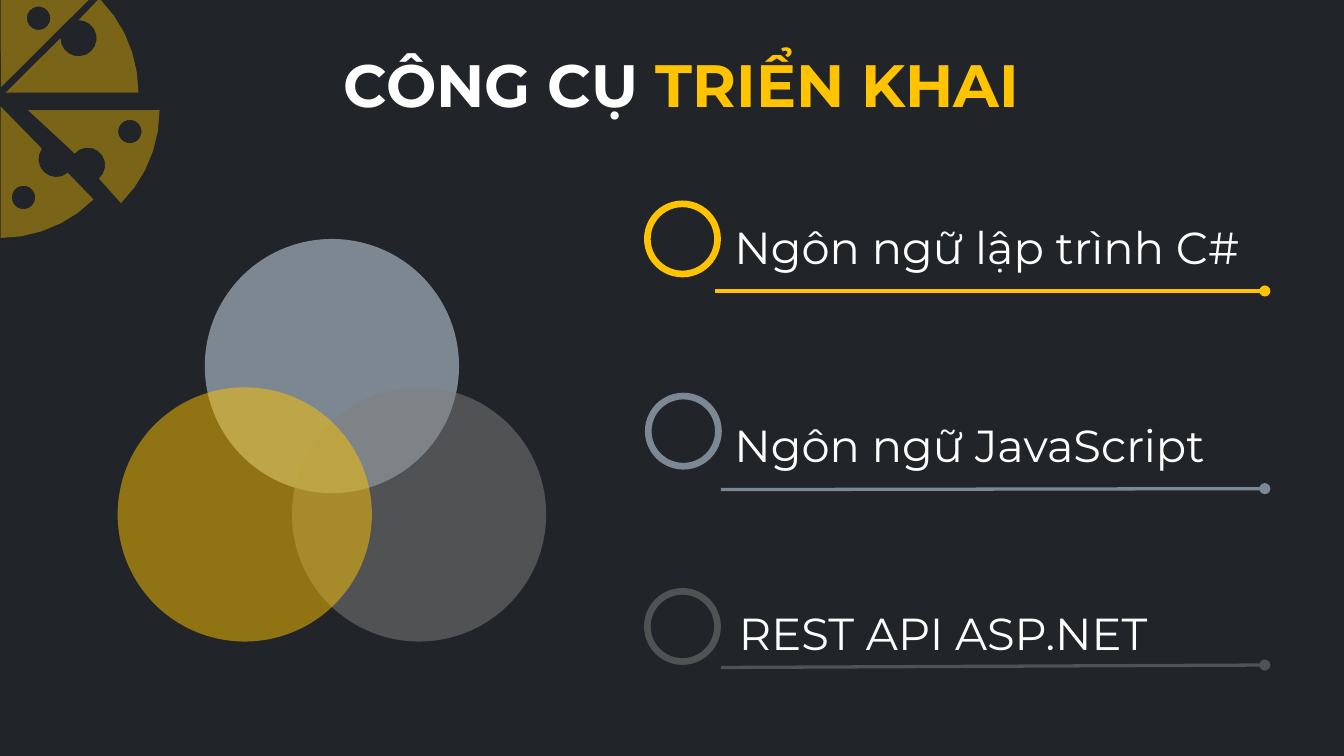
from math import cos, radians, sin

from pptx import Presentation
from pptx.dml.color import RGBColor
from pptx.enum.shapes import MSO_CONNECTOR as Connector, MSO_SHAPE as Shape
from pptx.enum.text import MSO_ANCHOR as Anchor, PP_ALIGN as Align
from pptx.oxml.ns import qn
from pptx.oxml.xmlchemy import OxmlElement
from pptx.util import Pt

GOLD, WHITE, STEEL, GRAPHITE = "FFC300", "FFFFFF", "7C8893", "505254"


def color(hex_code):
    return RGBColor.from_string(hex_code)


def arc(x, y, radius, start, end):
    steps = round(abs(end - start) / (9 if radius > 20 else 20))
    angles = [radians(start + (end - start) * i / steps) for i in range(steps + 1)]
    return [(x + radius * cos(a), y + radius * sin(a)) for a in angles]


class SlideStyle:
    font_name = "Montserrat"

    def __init__(self, slide):
        self.slide = slide
        self.shapes = slide.shapes

    def background(self, hex_code):
        fill = self.slide.background.fill
        fill.solid()
        fill.fore_color.rgb = color(hex_code)

    def paint(self, shape, hex_code, opacity=100):
        shape.shadow.inherit = False
        shape.line.fill.background()
        shape.fill.solid()
        shape.fill.fore_color.rgb = color(hex_code)
        if opacity < 100:
            alpha = OxmlElement("a:alpha")
            alpha.set("val", str(opacity * 1000))
            shape._element.spPr.find(".//" + qn("a:srgbClr")).append(alpha)

    def outline(self, contours, hex_code, opacity):
        scaled = [[(x * 100, y * 100) for x, y in contour] for contour in contours]
        builder = self.shapes.build_freeform(*scaled[0][0], scale=Pt(1) / 100)
        builder.add_line_segments(scaled[0][1:], close=True)
        for contour in scaled[1:]:
            builder.move_to(*contour[0])
            builder.add_line_segments(contour[1:], close=True)
        self.paint(builder.convert_to_shape(), hex_code, opacity)

    def venn(self, diameter, circles):
        group = self.shapes.add_group_shape()
        for left, top, hex_code, opacity in circles:
            circle = group.shapes.add_shape(
                Shape.OVAL, Pt(left), Pt(top), Pt(diameter), Pt(diameter))
            self.paint(circle, hex_code, opacity)

    def ring(self, left, top, diameter, hex_code):
        donut = self.shapes.add_shape(
            Shape.DONUT, Pt(left), Pt(top), Pt(diameter), Pt(diameter))
        donut.adjustments[0] = 0.087
        self.paint(donut, hex_code)

    def dotted_line(self, start, end, hex_code):
        line = self.shapes.add_connector(Connector.STRAIGHT, *map(Pt, start + end))
        line.line.color.rgb = color(hex_code)
        line.line.width = Pt(1.75)
        dot = OxmlElement("a:tailEnd")
        dot.set("type", "oval")
        line.line._get_or_add_ln().append(dot)
        line._element.spPr.append(OxmlElement("a:effectLst"))

    def text(self, box, runs, size, align, bold=False, anchor=Anchor.TOP, tab=None):
        frame = self.shapes.add_textbox(*map(Pt, box)).text_frame
        frame.word_wrap = True
        frame.vertical_anchor = anchor
        paragraph = frame.paragraphs[0]
        paragraph.alignment = align
        if tab:
            stops = OxmlElement("a:tabLst")
            stop = OxmlElement("a:tab")
            stop.set("pos", str(Pt(tab)))
            stop.set("algn", "l")
            stops.append(stop)
            paragraph._p.get_or_add_pPr().append(stops)
        for words, hex_code in runs:
            run = paragraph.add_run()
            run.text = words
            run.font.name = self.font_name
            run.font.size = Pt(size)
            run.font.bold = bold
            run.font.color.rgb = color(hex_code)


def main():
    deck = Presentation()
    deck.slide_width, deck.slide_height = Pt(720), Pt(405)
    style = SlideStyle(deck.slides.add_slide(deck.slide_layouts[6]))
    style.background("212529")

    right_slice = [(15, 59), *arc(15, 59, 70.5, 0, 45), *arc(47, 88.5, 9.4, 50, -138)]
    lower_slice = [(0.3, 57), *arc(30.2, 85.3, 9.6, 216, 50),
                   *arc(0.3, 57, 70.5, 45, 90)]
    upper_slice = [(3, 49.7), *arc(42.1, 20.5, 9.7, 180, -90), (52.5, 0),
                   *arc(3, 49.7, 71.2, -44.2, 0)]
    corner_slice = [(0.3, 0), (47.5, 0), (0.5, 46.8)]
    holes = [arc(x, y, 6.3, 360, 0)
             for x, y in [(69.6, 70.5), (12.6, 105.8), (20.7, 9.8)]]
    style.outline([right_slice, lower_slice, upper_slice, corner_slice, *holes], GOLD, 40)

    style.text((23.5, 23.4, 683, 42.5), [("CÔNG CỤ ", WHITE), ("TRIỂN KHAI", GOLD)],
               32, Align.CENTER, bold=True, anchor=Anchor.MIDDLE)
    style.venn(136.2, [(109.7, 128, "86929E", 90),
                       (156.4, 207.5, "808080", 50),
                       (63, 207.5, GOLD, 50)])

    tools = [
        ("Ngôn ngữ lập trình C#", GOLD, (345, 107.4), (383, 155.9), 155.9, (332.6, 114.1)),
        ("Ngôn ngữ JavaScript", STEEL, (345.5, 210.4), (386.2, 262.3), 261.8, (332.6, 220)),
        ("REST API ASP.NET ", GRAPHITE, (345, 315), (386.2, 357.6), 356.3, (335, 321)),
    ]
    for name, hue, ring, line_start, line_end, label in tools:
        style.ring(*ring, 41.2, hue)
        style.dotted_line(line_start, (677.6, line_end), hue)
        style.text((*label, 345.6, 36), [("\t", GOLD), (name, WHITE)],
                   24, Align.JUSTIFY, tab=53.8)

    deck.save("out.pptx")


if __name__ == "__main__":
    main()
